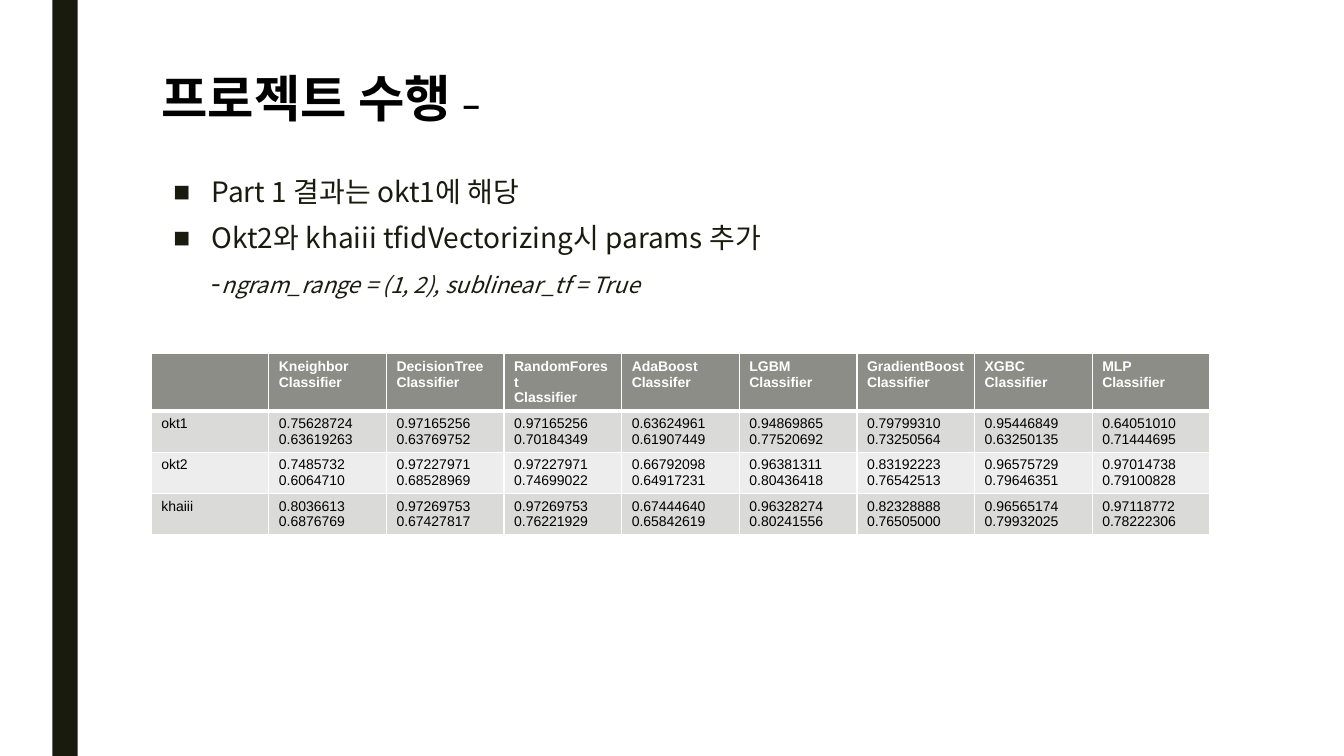
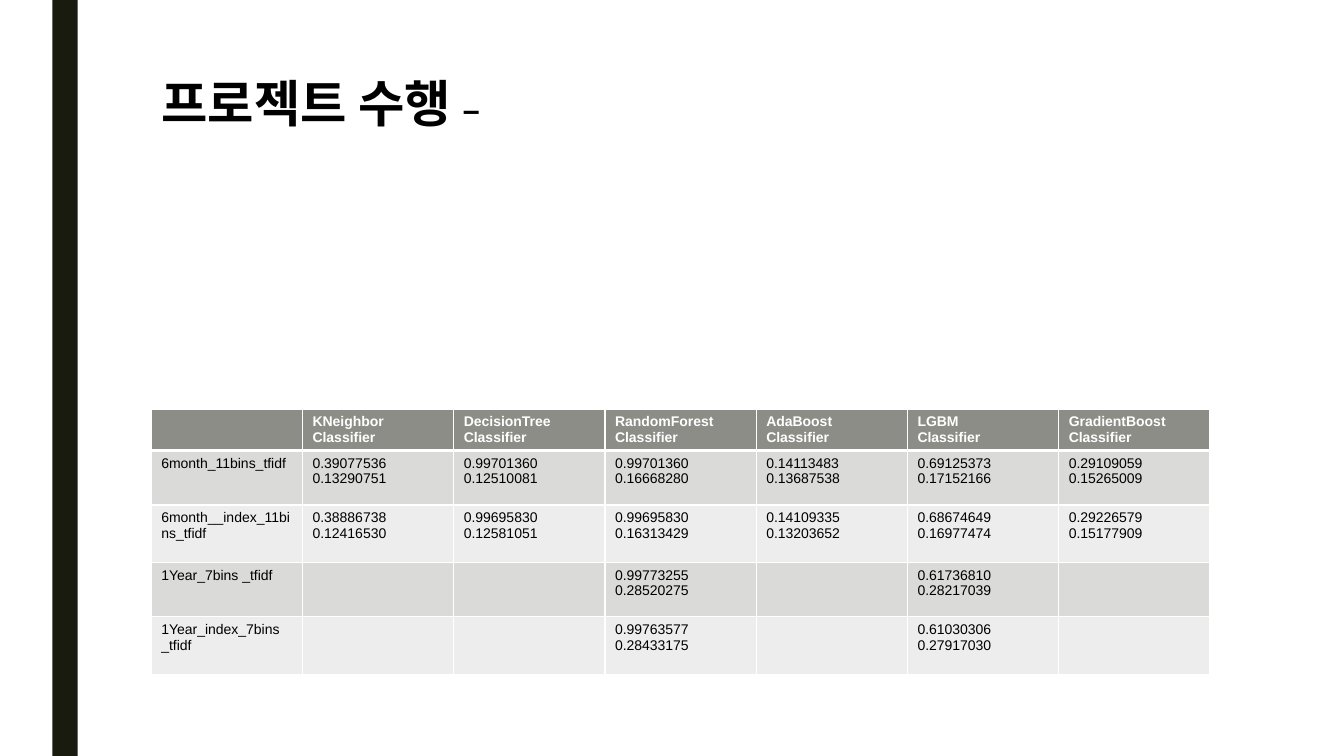
from lxml.etree import SubElement
from pptx import Presentation
from pptx.dml.color import RGBColor
from pptx.enum.shapes import MSO_SHAPE
from pptx.enum.text import MSO_ANCHOR, MSO_AUTO_SIZE, PP_ALIGN
from pptx.oxml.ns import qn
from pptx.util import Inches, Pt

KOREAN, LATIN = "Noto Sans CJK KR", "Arial"
BLACK, WHITE, INK = "000000", "FFFFFF", "191B0E"
HEADER_FILL, BANDS = "8C8D86", ("DADAD8", "EDEDED")
LEFT, WIDTH = 1.5, 10.5

BULLETS = ["Part 1 결과는 okt1에 해당", "Okt2와 khaiii tfidVectorizing시 params 추가"]
PARAMS = "ngram_range = (1, 2), sublinear_tf = True"

SLIDES = [
    {
        "title_spacing": 0.79,
        "bullets": BULLETS,
        "table_top": 3.51,
        "row_heights": [0.4, 0.4, 0.4, 0.4],
        "header": ["", "Kneighbor\nClassifier", "DecisionTree\nClassifier",
                   "RandomForest\nClassifier", "AdaBoost\nClassifer", "LGBM\nClassifier",
                   "GradientBoost\nClassifier", "XGBC\nClassifier", "MLP\nClassifier"],
        "scores": [
            ["okt1", "0.75628724\n0.63619263", "0.97165256\n0.63769752",
             "0.97165256\n0.70184349", "0.63624961\n0.61907449", "0.94869865\n0.77520692",
             "0.79799310\n0.73250564", "0.95446849\n0.63250135", "0.64051010\n0.71444695"],
            ["okt2", "0.7485732\n0.6064710", "0.97227971\n0.68528969",
             "0.97227971\n0.74699022", "0.66792098\n0.64917231", "0.96381311\n0.80436418",
             "0.83192223\n0.76542513", "0.96575729\n0.79646351", "0.97014738\n0.79100828"],
            ["khaiii", "0.8036613\n0.6876769", "0.97269753\n0.67427817",
             "0.97269753\n0.76221929", "0.67444640\n0.65842619", "0.96328274\n0.80241556",
             "0.82328888\n0.76505000", "0.96565174\n0.79932025", "0.97118772\n0.78222306"],
        ],
    },
    {
        "title_spacing": 0.89,
        "bullets": [],
        "table_top": 4.06,
        "row_heights": [0.39, 0.54, 0.57, 0.54, 0.57],
        "header": ["", "KNeighbor\nClassifier", "DecisionTree\nClassifier",
                   "RandomForest\nClassifier", "AdaBoost\nClassifier", "LGBM\nClassifier",
                   "GradientBoost\nClassifier"],
        "scores": [
            ["6month_11bins_tfidf", "0.39077536\n0.13290751", "0.99701360\n0.12510081",
             "0.99701360\n0.16668280", "0.14113483\n0.13687538", "0.69125373\n0.17152166",
             "0.29109059\n0.15265009"],
            ["6month__index_11bins_tfidf", "0.38886738\n0.12416530", "0.99695830\n0.12581051",
             "0.99695830\n0.16313429", "0.14109335\n0.13203652", "0.68674649\n0.16977474",
             "0.29226579\n0.15177909"],
            ["1Year_7bins _tfidf", "", "", "0.99773255\n0.28520275", "",
             "0.61736810\n0.28217039", ""],
            ["1Year_index_7bins _tfidf", "", "", "0.99763577\n0.28433175", "",
             "0.61030306\n0.27917030", ""],
        ],
    },
]


def rgb(value):
    return RGBColor.from_string(value)


def write(paragraph, text, size=10, font=LATIN, color=BLACK, bold=False, italic=False):
    run = paragraph.add_run()
    run.text = text
    run.font.size, run.font.name = Pt(size), font
    run.font.bold, run.font.italic = bold, italic
    run.font.color.rgb = rgb(color)
    if font == KOREAN:
        SubElement(run.font._element, qn("a:ea"), typeface=font)


def place(placeholder, top, height):
    placeholder.left, placeholder.top = Inches(LEFT), Inches(top)
    placeholder.width, placeholder.height = Inches(WIDTH), Inches(height)
    frame = placeholder.text_frame
    frame.auto_size, frame.vertical_anchor = MSO_AUTO_SIZE.NONE, MSO_ANCHOR.TOP
    frame.word_wrap = True
    return frame


def add_title(slide, spacing):
    heading = place(slide.shapes.title, 0.74, 1.35).paragraphs[0]
    heading.alignment, heading.line_spacing = PP_ALIGN.LEFT, spacing
    write(heading, "프로젝트 수행 ", size=36, font=KOREAN, bold=True)
    write(heading, "–", size=24, bold=True)


def format_item(item, hanging, bullet=None):
    item.line_spacing, item.space_before = 0.94, Pt(10)
    props = item._p.get_or_add_pPr()
    props.set("marL", str(Inches(0.5)))
    props.set("indent", str(Inches(hanging)))
    if bullet:
        SubElement(SubElement(props, qn("a:buClr")), qn("a:srgbClr"), val=INK)
        SubElement(props, qn("a:buFont"), typeface=LATIN)
        SubElement(props, qn("a:buChar"), char=bullet)
    else:
        SubElement(props, qn("a:buNone"))


def add_bullets(slide, bullets):
    frame = place(slide.placeholders[1], 1.71, 4.71)
    for index, text in enumerate(bullets):
        item = frame.add_paragraph() if index else frame.paragraphs[0]
        format_item(item, -0.38, "■")
        write(item, text, size=20, font=KOREAN, color=INK)
    params = frame.add_paragraph()
    format_item(params, 0)
    write(params, "-", size=20, font=KOREAN, color=INK)
    write(params, PARAMS, size=16, font=KOREAN, color=INK, italic=True)


def add_border(cell, side, points):
    line = SubElement(cell._tc.get_or_add_tcPr(), qn(f"a:ln{side}"), w=str(Pt(points)))
    SubElement(SubElement(line, qn("a:solidFill")), qn("a:srgbClr"), val=WHITE)


def fill_cell(cell, text, row):
    thick_side = {0: "B", 1: "T"}.get(row)
    for side in "LRTB":
        add_border(cell, side, 3 if side == thick_side else 1)
    cell.fill.solid()
    cell.fill.fore_color.rgb = rgb(BANDS[(row - 1) % 2] if row else HEADER_FILL)
    frame = cell.text_frame
    for index, line in enumerate(text.split("\n")):
        paragraph = frame.add_paragraph() if index else frame.paragraphs[0]
        if line:
            write(paragraph, line, color=BLACK if row else WHITE, bold=row == 0)
        else:
            paragraph.font.size = Pt(10)


def add_scores(slide, content):
    rows, heights = [content["header"], *content["scores"]], content["row_heights"]
    columns = len(content["header"])
    table = slide.shapes.add_table(
        len(rows), columns, Inches(LEFT), Inches(content["table_top"]),
        Inches(WIDTH), Inches(sum(heights))).table
    for column in table.columns:
        column.width = Inches(WIDTH / columns)
    for row, (texts, height) in enumerate(zip(rows, heights)):
        table.rows[row].height = Inches(height)
        for column, text in enumerate(texts):
            fill_cell(table.cell(row, column), text, row)


def add_master_band(prs, slide):
    band = slide.shapes.add_shape(
        MSO_SHAPE.RECTANGLE, Inches(0.52), 0, Inches(0.25), prs.slide_height)
    band.shadow.inherit = False
    band.fill.solid()
    band.fill.fore_color.rgb = rgb(INK)
    band.line.fill.background()
    prs.slide_master.element.cSld.spTree.insert(2, band.element)


def main():
    prs = Presentation()
    prs.slide_width, prs.slide_height = Inches(13.33), Inches(7.5)
    for content in SLIDES:
        slide = prs.slides.add_slide(prs.slide_layouts[1 if content["bullets"] else 5])
        add_title(slide, content["title_spacing"])
        if content["bullets"]:
            add_bullets(slide, content["bullets"])
        add_scores(slide, content)
    add_master_band(prs, prs.slides[0])
    prs.save("out.pptx")


if __name__ == "__main__":
    main()
